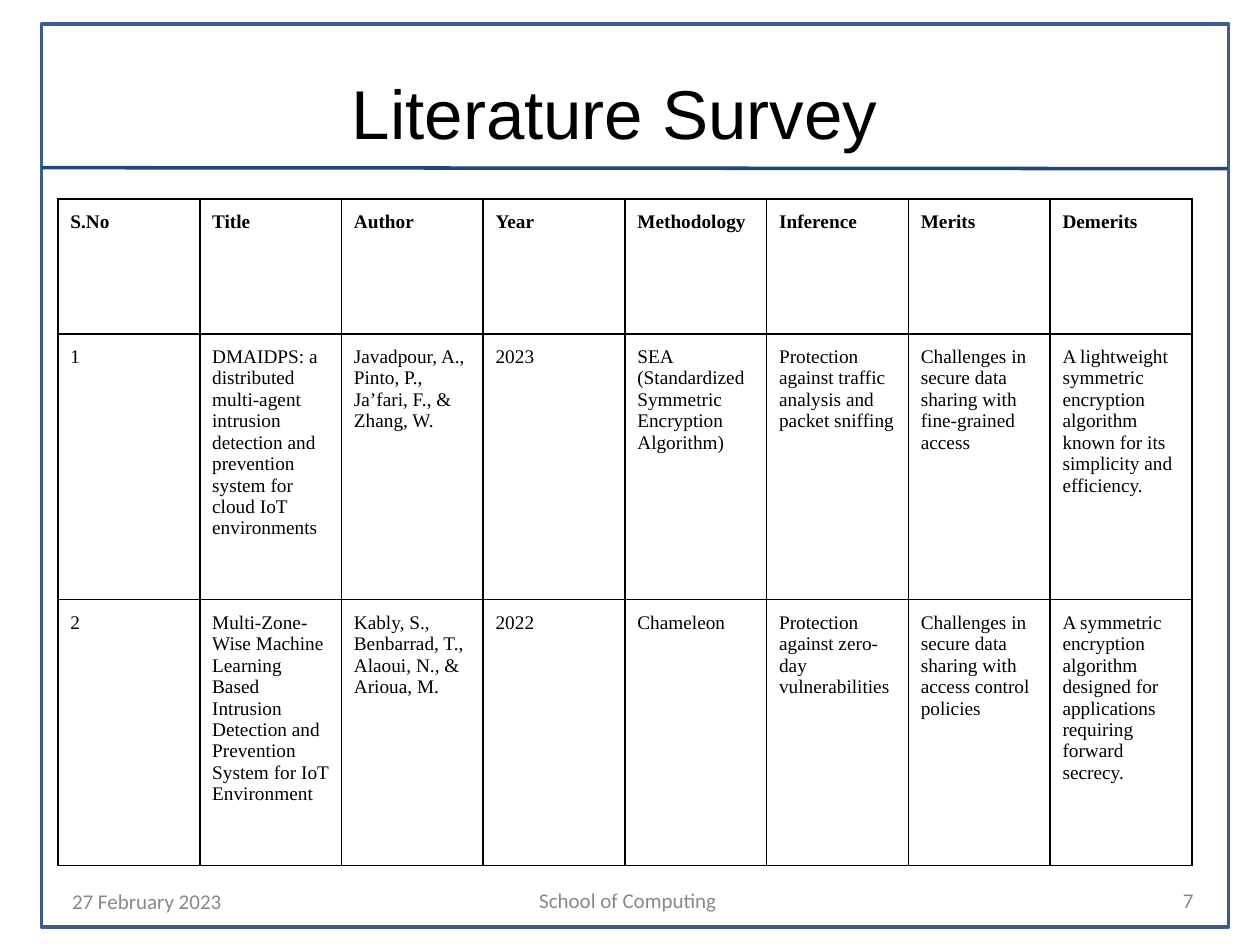
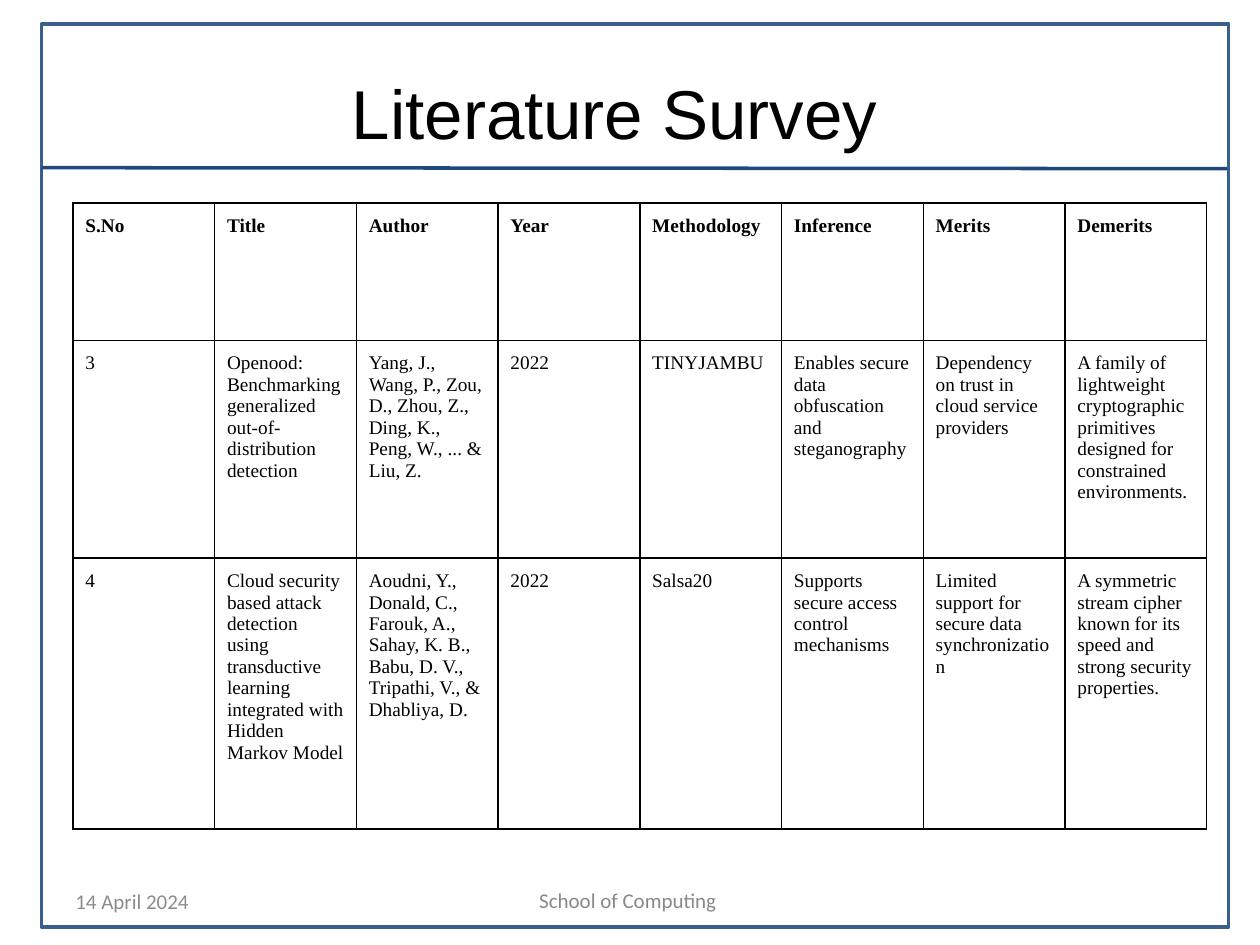
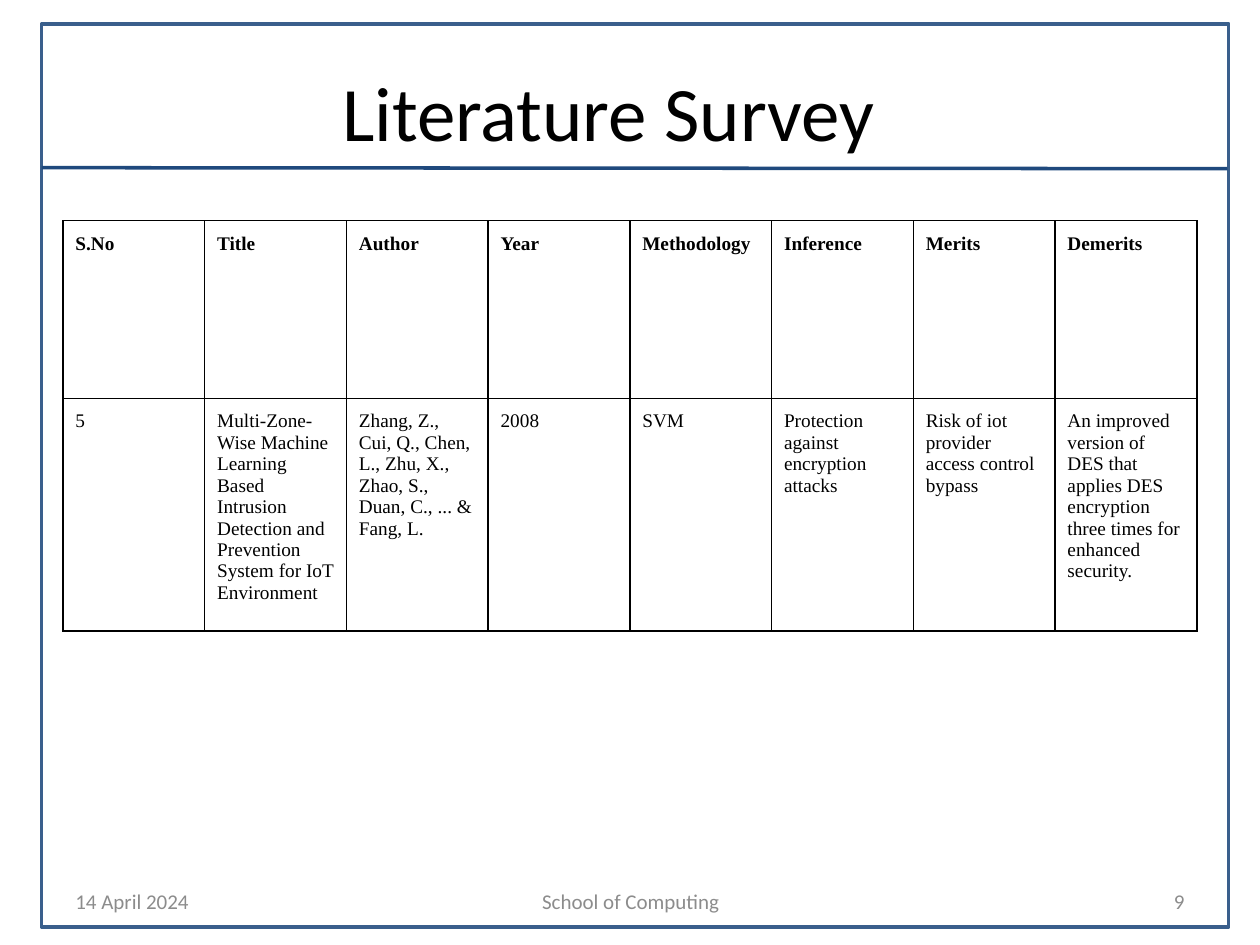
from dataclasses import dataclass

from lxml.etree import SubElement
from pptx import Presentation
from pptx.dml.color import RGBColor
from pptx.enum.shapes import MSO_CONNECTOR, MSO_SHAPE
from pptx.enum.text import MSO_ANCHOR, MSO_AUTO_SIZE, PP_ALIGN
from pptx.oxml.ns import qn
from pptx.util import Cm, Pt


@dataclass(frozen=True)
class Theme:
    ink: str = "000000"
    frame: str = "3A5F8C"
    rule: str = "1F497D"
    table_font: str = "Times New Roman"
    footer_font: str = "Calibri"
    table_size: float = 11
    footer_size: float = 12
    footer_leading: float = 12.4
    line_width: float = 2
    border_width: float = 1


@dataclass(frozen=True)
class TitleStyle:
    font: str
    size: float
    indent: float = 0
    space_before: float = 0


@dataclass(frozen=True)
class FooterStyle:
    """A footer place: box in cm, alignment, and tight or padded setting."""
    box: tuple
    align: PP_ALIGN
    tight: bool

    @property
    def color(self):
        return "888888" if self.tight else "8C8C8C"


THEME = Theme()
LEFT, CENTER, RIGHT = PP_ALIGN.LEFT, PP_ALIGN.CENTER, PP_ALIGN.RIGHT

# Shared layout, in cm
FRAME_BOX = (0.84, 0.48, 23.93, 18.21)
RULE_ENDS = (0.84, 3.38, 24.74, 3.4)
TITLE_BOX = (0.84, 0.64, 22.86, 3.18)
TABLE_WIDTH = 22.86
CELL_MARGIN = 0.25

ARIAL_TITLE = TitleStyle("Arial", 39.5, indent=0.25, space_before=1.1)
CALIBRI_TITLE = TitleStyle("Calibri", 44)

DATE_TIGHT = FooterStyle((1.27, 17.98, 3.38, 0.43), CENTER, True)
SCHOOL_TIGHT = FooterStyle((10.87, 17.96, 3.63, 0.43), LEFT, True)
NUMBER_TIGHT = FooterStyle((23.37, 17.96, 0.69, 0.43), RIGHT, True)
DATE_PADDED = FooterStyle((1.27, 17.65, 5.92, 1.02), LEFT, False)
SCHOOL_PADDED = FooterStyle((8.69, 17.65, 8.05, 1.02), CENTER, False)
NUMBER_PADDED = FooterStyle((18.21, 17.65, 5.92, 1.02), RIGHT, False)

# Content
TITLE = "Literature Survey"
SCHOOL = "School of Computing"
HEADER = ("S.No", "Title", "Author", "Year", "Methodology", "Inference",
          "Merits", "Demerits")
MULTI_ZONE = ("Multi-Zone-Wise Machine Learning Based Intrusion Detection and "
              "Prevention System for IoT Environment")

SURVEYS = [
    {
        "title_style": ARIAL_TITLE,
        "footers": [("27 February 2023", DATE_TIGHT), (SCHOOL, SCHOOL_TIGHT),
                    ("7", NUMBER_TIGHT)],
        "corner": (1.17, 4.01),
        "row_heights": (2.72, 5.36, 5.36),
        "papers": [
            ("1",
             "DMAIDPS: a distributed multi-agent intrusion detection and "
             "prevention system for cloud IoT environments",
             "Javadpour, A., Pinto, P., Ja’fari, F., & Zhang, W.",
             "2023",
             "SEA (Standardized Symmetric Encryption Algorithm)",
             "Protection against traffic analysis and packet sniffing",
             "Challenges in secure data sharing with fine-grained access",
             "A lightweight symmetric encryption algorithm known for its "
             "simplicity and efficiency."),
            ("2",
             MULTI_ZONE,
             "Kably, S., Benbarrad, T., Alaoui, N., & Arioua, M.",
             "2022",
             "Chameleon",
             "Protection against zero-day vulnerabilities",
             "Challenges in secure data sharing with access control policies",
             "A symmetric encryption algorithm designed for applications "
             "requiring forward secrecy."),
        ],
    },
    {
        "title_style": ARIAL_TITLE,
        "footers": [("14 April 2024", DATE_PADDED), (SCHOOL, SCHOOL_TIGHT)],
        "corner": (1.47, 4.09),
        "row_heights": (2.77, 4.39, 5.46),
        "papers": [
            ("3",
             "Openood: Benchmarking generalized out-of-distribution detection",
             "Yang, J., Wang, P., Zou, D., Zhou, Z., Ding, K., Peng, W., ... "
             "& Liu, Z.",
             "2022",
             "TINYJAMBU",
             "Enables secure data obfuscation and steganography",
             "Dependency on trust in cloud service providers",
             "A family of lightweight cryptographic primitives designed for "
             "constrained environments."),
            ("4",
             "Cloud security based attack detection using transductive "
             "learning integrated with Hidden Markov Model",
             "Aoudni, Y., Donald, C., Farouk, A., Sahay, K. B., Babu, D. V., "
             "Tripathi, V., & Dhabliya, D.",
             "2022",
             "Salsa20",
             "Supports secure access control mechanisms",
             "Limited support for secure data synchronization",
             "A symmetric stream cipher known for its speed and strong "
             "security properties."),
        ],
    },
    {
        "title_style": CALIBRI_TITLE,
        "footers": [("14 April 2024", DATE_PADDED), (SCHOOL, SCHOOL_PADDED),
                    ("9", NUMBER_PADDED)],
        "corner": (1.27, 4.45),
        "row_heights": (3.58, 4.39),
        "papers": [
            ("5",
             MULTI_ZONE,
             "Zhang, Z., Cui, Q., Chen, L., Zhu, X., Zhao, S., Duan, C., ... "
             "& Fang, L.",
             "2008",
             "SVM",
             "Protection against encryption attacks",
             "Risk of iot provider access control bypass",
             "An improved version of DES that applies DES encryption three "
             "times for enhanced security."),
        ],
    },
]


def lengths(values):
    return [Cm(value) for value in values]


def style_font(font, name, size, color, bold=False):
    font.name, font.size, font.bold = name, Pt(size), bold
    font.color.rgb = RGBColor.from_string(color)


def set_margins(item, margin):
    item.margin_left = item.margin_right = Cm(margin)
    item.margin_top = item.margin_bottom = Cm(margin)


def style_line(line, color):
    line.color.rgb = RGBColor.from_string(color)
    line.width = Pt(THEME.line_width)


# Frame and title rule, drawn once and shared through the layout
def add_frame(slide, layout):
    frame = slide.shapes.add_shape(MSO_SHAPE.RECTANGLE, *lengths(FRAME_BOX))
    frame.shadow.inherit = False
    frame.fill.background()
    style_line(frame.line, THEME.frame)

    rule = slide.shapes.add_connector(MSO_CONNECTOR.STRAIGHT,
                                      *lengths(RULE_ENDS))
    style_line(rule.line, THEME.rule)
    SubElement(rule.element.spPr, qn("a:effectLst"))

    for shape in (frame, rule):
        layout.shapes.element.append(shape.element)


def set_title(slide, style):
    title = slide.shapes.title
    title.left, title.top, title.width, title.height = lengths(TITLE_BOX)
    frame = title.text_frame
    frame.text = TITLE
    frame.auto_size = MSO_AUTO_SIZE.NONE
    frame.vertical_anchor = MSO_ANCHOR.MIDDLE
    if style.indent:
        set_margins(frame, 0)
        frame.margin_top = Cm(0.05)
    para = frame.paragraphs[0]
    para.alignment = CENTER
    para.space_before = Pt(style.space_before)
    para._p.get_or_add_pPr().set("marL", str(Cm(style.indent)))
    style_font(para.runs[0].font, style.font, style.size, THEME.ink)


def add_footer(slide, text, style):
    frame = slide.shapes.add_textbox(*lengths(style.box)).text_frame
    frame.text = text
    frame.word_wrap = True
    frame.vertical_anchor = MSO_ANCHOR.MIDDLE
    para = frame.paragraphs[0]
    para.alignment = style.align
    if style.tight:
        set_margins(frame, 0)
        para.line_spacing = Pt(THEME.footer_leading)
    style_font(para.runs[0].font, THEME.footer_font, THEME.footer_size,
               style.color)


def add_borders(cell):
    properties = cell._tc.get_or_add_tcPr()
    for side in ("lnL", "lnR", "lnT", "lnB"):
        border = SubElement(properties, qn(f"a:{side}"),
                            w=str(Pt(THEME.border_width)))
        fill = SubElement(border, qn("a:solidFill"))
        SubElement(fill, qn("a:srgbClr"), val=THEME.ink)


def add_survey_table(slide, papers, corner, row_heights):
    rows = [HEADER, *papers]
    table = slide.shapes.add_table(
        len(rows), len(HEADER), *lengths(corner),
        Cm(TABLE_WIDTH), Cm(sum(row_heights))).table
    table.first_row = table.horz_banding = False
    for column in table.columns:
        column.width = Cm(TABLE_WIDTH / len(HEADER))
    for row_index, (texts, height) in enumerate(zip(rows, row_heights)):
        table.rows[row_index].height = Cm(height)
        for cell, text in zip(table.rows[row_index].cells, texts):
            cell.text = text
            set_margins(cell, CELL_MARGIN)
            add_borders(cell)
            cell.fill.background()
            span = cell.text_frame.paragraphs[0].runs[0]
            style_font(span.font, THEME.table_font, THEME.table_size,
                       THEME.ink, bold=row_index == 0)


def main():
    deck = Presentation()
    deck.slide_width, deck.slide_height = Cm(25.4), Cm(19.05)
    layout = deck.slide_layouts.get_by_name("Title Only")
    for index, survey in enumerate(SURVEYS):
        slide = deck.slides.add_slide(layout)
        if index == 0:
            add_frame(slide, layout)
        set_title(slide, survey["title_style"])
        for text, style in survey["footers"]:
            add_footer(slide, text, style)
        add_survey_table(slide, survey["papers"], survey["corner"],
                         survey["row_heights"])
    deck.save("out.pptx")


if __name__ == "__main__":
    main()
